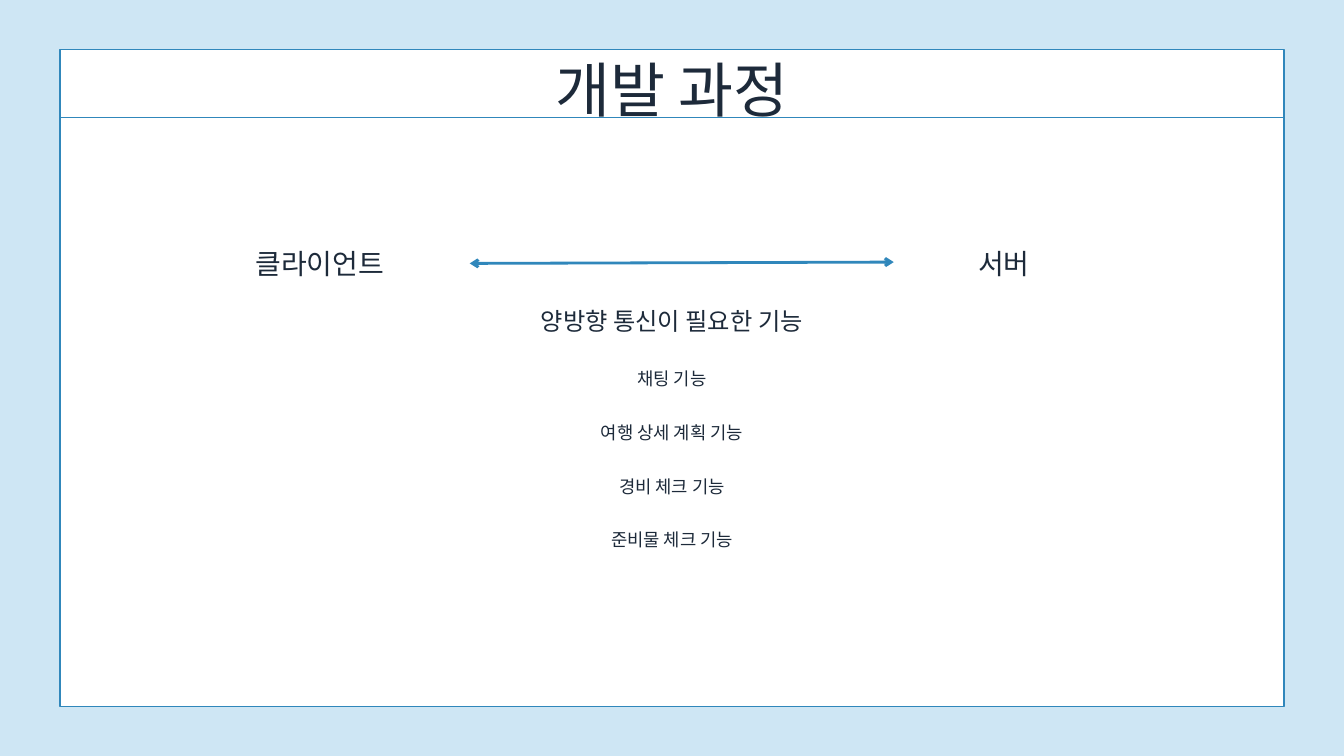
"""Build the development process slide on client and server communication."""
from dataclasses import dataclass

from lxml import etree
from pptx import Presentation, util as u
from pptx.dml.color import RGBColor
from pptx.enum import shapes, text
from pptx.oxml.ns import qn


@dataclass(frozen=True)
class Theme:
    """Colours, font and type sizes of the slide."""
    background: RGBColor = RGBColor(0xCE, 0xE6, 0xF4)
    panel: RGBColor = RGBColor(0xFF, 0xFF, 0xFF)
    line: RGBColor = RGBColor(0x30, 0x87, 0xBB)
    ink: RGBColor = RGBColor(0x1D, 0x2A, 0x3A)
    font: str = "Noto Sans CJK KR"
    title: int = 64
    label: int = 30
    heading: int = 26
    item: int = 19
    leading: float = 1.4
    item_gap: int = 31


THEME = Theme()
FEATURES = ["채팅 기능", "여행 상세 계획 기능", "경비 체크 기능", "준비물 체크 기능"]


def place(sp, left, top, width, height):
    """Set the position and size of a shape in inches."""
    sp.left, sp.top = u.Inches(left), u.Inches(top)
    sp.width, sp.height = u.Inches(width), u.Inches(height)


def write(sp, lines, size, gap=0):
    """Fill a shape with centred, unbulleted paragraphs."""
    tf = sp.text_frame
    tf.margin_left = tf.margin_top = tf.margin_right = tf.margin_bottom = 0
    tf.vertical_anchor = text.MSO_ANCHOR.TOP
    tf.auto_size = text.MSO_AUTO_SIZE.NONE
    tf.word_wrap = True
    for i, line in enumerate(lines):
        p = tf.add_paragraph() if i else tf.paragraphs[0]
        pPr = p._p.get_or_add_pPr()
        pPr.set("marL", "0")
        pPr.set("indent", "0")
        etree.SubElement(pPr, qn("a:buNone"))
        p.alignment = text.PP_ALIGN.CENTER
        p.line_spacing = u.Pt(size * THEME.leading)
        p.space_before = u.Pt(gap if i else 0)
        r = p.add_run()
        r.text = line
        r.font.size = u.Pt(size)
        r.font.color.rgb = THEME.ink
        r.font.name = THEME.font
        etree.SubElement(r._r.get_or_add_rPr(), qn("a:ea"), typeface=THEME.font)


def add_label(slide, label, size, left, top, width, height):
    """Add a one-line text box."""
    sp = slide.shapes.add_textbox(0, 0, 0, 0)
    place(sp, left, top, width, height)
    write(sp, [label], size)


def add_panel(slide, left, top, width, height):
    """Add the outlined panel behind the placeholders."""
    sp = slide.shapes.add_shape(shapes.MSO_SHAPE.RECTANGLE, 0, 0, 0, 0)
    place(sp, left, top, width, height)
    sp.shadow.inherit = False
    sp.fill.solid()
    sp.fill.fore_color.rgb = THEME.panel
    sp.line.color.rgb = THEME.line
    sp.line.width = u.Pt(1.5)
    slide.shapes.element.insert(2, sp.element)


def add_line(slide, start, end, weight, arrows=False):
    """Add a straight line, with arrowheads at both ends if asked."""
    points = [u.Inches(v) for v in (*start, *end)]
    sp = slide.shapes.add_connector(shapes.MSO_CONNECTOR.STRAIGHT, *points)
    sp.line.color.rgb = THEME.line
    sp.line.width = u.Pt(weight)
    if arrows:
        for tag in ("a:headEnd", "a:tailEnd"):
            etree.SubElement(sp.line._get_or_add_ln(), qn(tag), type="arrow")
    etree.SubElement(sp.element.spPr, qn("a:effectLst"))


def main():
    """Build and save the slide."""
    prs = Presentation()
    prs.slide_width, prs.slide_height = u.Inches(20), u.Inches(11.25)
    slide = prs.slides.add_slide(prs.slide_layouts[1])
    slide.background.fill.solid()
    slide.background.fill.fore_color.rgb = THEME.background

    add_panel(slide, 0.89, 0.74, 18.22, 9.77)
    add_line(slide, (0.89, 1.75), (19.11, 1.75), 1.5)
    add_line(slide, (6.99, 3.92), (13.3, 3.9), 3, arrows=True)

    title, body = slide.shapes.title, slide.placeholders[1]
    place(title, 6.94, 0.61, 6.13, 1.19)
    write(title, ["개발 과정"], THEME.title)
    add_label(slide, "클라이언트", THEME.label, 3.73, 3.59, 2.06, 0.56)
    add_label(slide, "서버", THEME.label, 14.5, 3.59, 0.88, 0.56)
    add_label(slide, "양방향 통신이 필요한 기능", THEME.heading, 7.93, 4.48, 4.14, 0.5)
    place(body, 8.8, 5.42, 2.4, 2.76)
    write(body, FEATURES, THEME.item, THEME.item_gap)

    prs.save("out.pptx")


if __name__ == "__main__":
    main()
